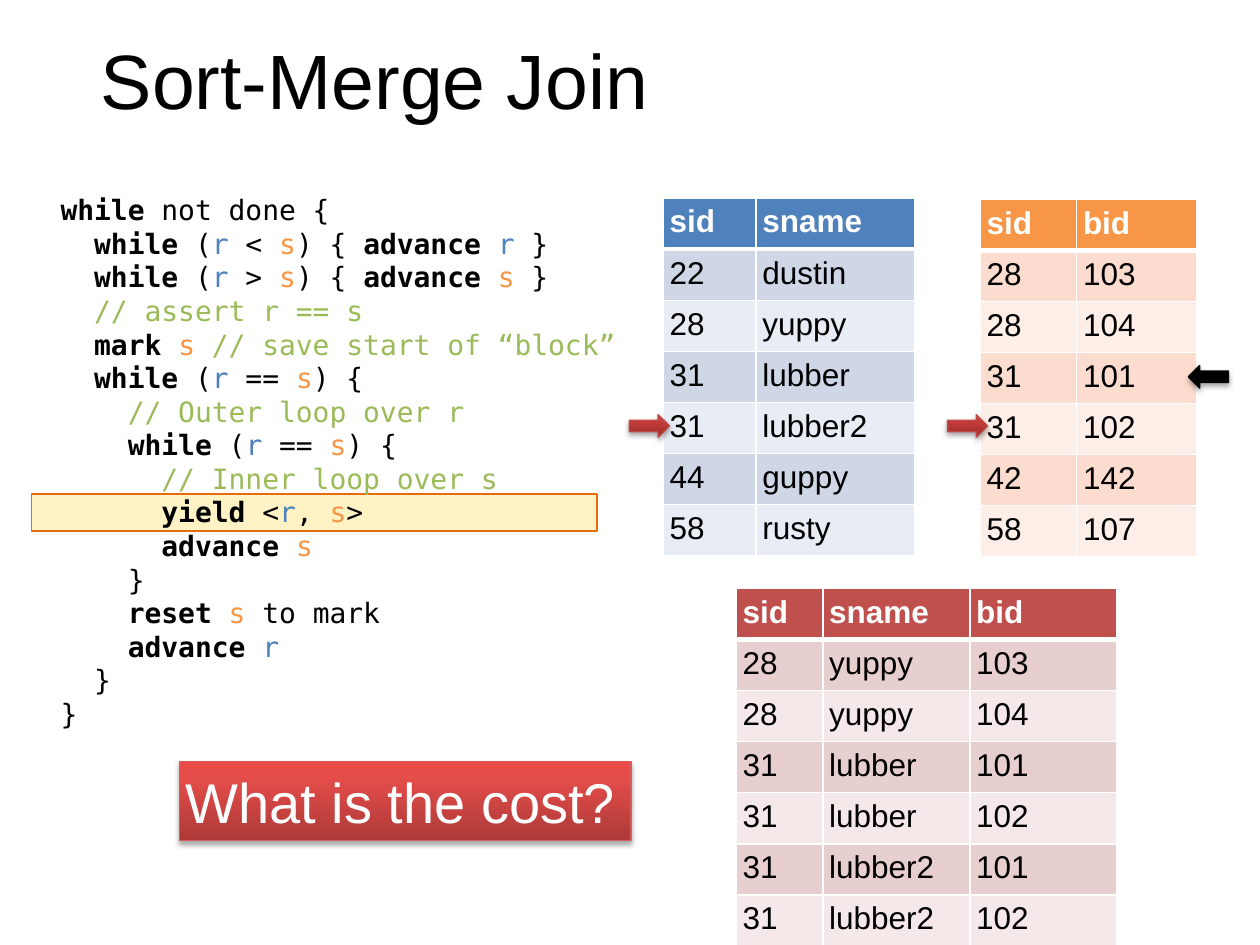
"""Build the Sort-Merge Join slide with pseudocode, two inputs and the joined result."""
import pptx
import pptx.dml.color
import pptx.enum.shapes
import pptx.enum.text
import pptx.oxml
import pptx.oxml.ns
import pptx.util
from lxml import etree

Pt = pptx.util.Pt
Shape = pptx.enum.shapes.MSO_SHAPE
Anchor = pptx.enum.text.MSO_ANCHOR
qn = pptx.oxml.ns.qn

BLACK, WHITE, BLUE, ORANGE, GREEN = "000000", "FFFFFF", "4F81BD", "F79646", "9BBB59"
SANS, MONO = "Arial", "DejaVu Sans Mono"
INSET = 3.6
ROW_HEIGHT = 29.2

TITLE = "Sort-Merge Join"
QUESTION = "What is the cost?"

KEYWORDS = {"while", "advance", "mark", "yield", "reset"}
VARIABLES = {"r": BLUE, "s": ORANGE}
CODE = [
    "while| not done {",
    "  |while| (|r| < |s|) { |advance| |r| }",
    "  |while| (|r| > |s|) { |advance| |s| }",
    "  |// assert r == s",
    "  |mark| |s| |// save start of “block”",
    "  |while| (|r| == |s|) {",
    "    |// Outer loop over r",
    "    |while| (|r| == |s|) {",
    "      |// Inner loop over s",
    "      |yield| <|r|, |s|>",
    "      |advance| |s",
    "    }",
    "    |reset| |s| to mark",
    "    |advance| |r",
    "  }",
    "}",
]

TABLES = [
    {"at": (379, 113.2), "widths": (53.1, 90.7), "fills": (BLUE, "CFD7E7", "E8ECF4"),
     "rows": [("sid", "sname"), ("22", "dustin"), ("28", "yuppy"), ("31", "lubber"),
              ("31", "lubber2"), ("44", "guppy"), ("58", "rusty")]},
    {"at": (560.2, 113.8), "widths": (55.1, 68.3), "fills": (ORANGE, "FCDCCE", "FDEEE8"),
     "rows": [("sid", "bid"), ("28", "103"), ("28", "104"), ("31", "101"),
              ("31", "102"), ("42", "142"), ("58", "107")]},
    {"at": (420.8, 336.2), "widths": (49.4, 84, 84), "fills": ("C0504D", "E8CFCF", "F4E8E8"),
     "rows": [("sid", "sname", "bid"), ("28", "yuppy", "103"), ("28", "yuppy", "104"),
              ("31", "lubber", "101"), ("31", "lubber", "102"),
              ("31", "lubber2", "101"), ("31", "lubber2", "102")]},
]

RED_ARROW = [(0, "9A2F2C"), (80, "CA3E3A"), (100, "CE3B37")]
RED_BANNER = [(0, "AD3A38"), (80, "E44D4A"), (100, "E84A48")]
ARROWS = [
    ((359.6, 236.9), 0, RED_ARROW, "BE4B48"),
    ((541.4, 236.9), 0, RED_ARROW, "BE4B48"),
    ((679, 208.8), 180, BLACK, BLACK),
]


def rgb(value):
    return pptx.dml.color.RGBColor.from_string(value)


def add_span(para, text, size, color=BLACK, bold=False, font=SANS):
    span = para.add_run()
    span.text = text
    span.font.size, span.font.name, span.font.bold = Pt(size), font, bold
    span.font.color.rgb = rgb(color)


def set_insets(target):
    for side in ("left", "top", "right", "bottom"):
        setattr(target, f"margin_{side}", Pt(INSET))


def add_child(parent, tag, **attributes):
    return etree.SubElement(parent, qn(tag), {key: str(value) for key, value in attributes.items()})


def set_gradient(shape, stops):
    shape.fill.gradient()
    shape.fill.gradient_angle = 90
    stop_list = next(shape.element.spPr.iter(qn("a:gsLst")))
    stop_list.clear()
    for position, color in stops:
        stop = add_child(stop_list, "a:gs", pos=position * 1000)
        add_child(stop, "a:srgbClr", val=color)


def add_shape(page, kind, frame, fill, line, weight, shaded=True):
    shape = page.shapes.add_shape(kind, *map(Pt, frame))
    if isinstance(fill, list):
        set_gradient(shape, fill)
    else:
        shape.fill.solid()
        shape.fill.fore_color.rgb = rgb(fill)
    shape.line.color.rgb = rgb(line)
    shape.line.width = Pt(weight)
    shape.shadow.inherit = False
    if shaded:
        effects = shape.element.spPr.find(qn("a:effectLst"))
        shadow = add_child(effects, "a:outerShdw", blurRad=Pt(3), dist=Pt(1.8),
                           dir=5400000, rotWithShape=0)
        add_child(add_child(shadow, "a:srgbClr", val=BLACK), "a:alpha", val=35000)
    return shape


def set_borders(cell, bottom):
    properties = cell._tc.get_or_add_tcPr()
    for side, weight in (("L", 1), ("R", 1), ("T", 1), ("B", bottom)):
        border = add_child(properties, f"a:ln{side}", w=Pt(weight))
        add_child(add_child(border, "a:solidFill"), "a:srgbClr", val=WHITE)


def add_table(page, at, widths, fills, rows):
    frame = page.shapes.add_table(len(rows), len(widths), *map(Pt, at),
                                  Pt(sum(widths)), Pt(ROW_HEIGHT * len(rows)))
    table = frame.table
    for column, width in zip(table.columns, widths):
        column.width = Pt(width)
    for index, row in enumerate(rows):
        table.rows[index].height = Pt(ROW_HEIGHT)
        header = index == 0
        fill = fills[0] if header else fills[2 - index % 2]
        for position, text in enumerate(row):
            cell = table.cell(index, position)
            set_insets(cell)
            set_borders(cell, 3 if header else 1)
            cell.fill.solid()
            cell.fill.fore_color.rgb = rgb(fill)
            add_span(cell.text_frame.paragraphs[0], text, 18, WHITE if header else BLACK, header)


def add_code(page):
    box = page.shapes.add_textbox(Pt(31), Pt(106.6), Pt(334.8), Pt(311))
    set_insets(box.text_frame)
    box.text_frame.word_wrap = False
    for index, line in enumerate(CODE):
        para = box.text_frame.add_paragraph() if index else box.text_frame.paragraphs[0]
        para.line_spacing = Pt(19.2)
        for piece in line.split("|"):
            color = GREEN if piece.startswith("//") else VARIABLES.get(piece, BLACK)
            add_span(para, piece, 16, color, piece in KEYWORDS, MONO)


def add_title(page):
    title = page.shapes.title
    title.left, title.top, title.width, title.height = map(Pt, (54, 0, 612, 90))
    set_insets(title.text_frame)
    title.text_frame.vertical_anchor = Anchor.MIDDLE
    para = title.text_frame.paragraphs[0]
    para.alignment = pptx.enum.text.PP_ALIGN.LEFT
    add_span(para, TITLE, 44)


def add_banner(page):
    banner = add_shape(page, Shape.RECTANGLE, (102.6, 435, 258, 45.2), RED_BANNER, "D75C5A", 0.75)
    set_insets(banner.text_frame)
    banner.text_frame.word_wrap = False
    banner.text_frame.vertical_anchor = Anchor.TOP
    para = banner.text_frame.paragraphs[0]
    para.alignment = pptx.enum.text.PP_ALIGN.LEFT
    add_span(para, QUESTION, 32, WHITE)


def main():
    deck = pptx.Presentation()
    deck.slide_width, deck.slide_height = Pt(720), Pt(540)
    page = deck.slides.add_slide(deck.slide_layouts[5])
    add_title(page)
    add_shape(page, Shape.RECTANGLE, (18, 282.2, 323.3, 21.4), "FFF2C5", "E46C0A", 1, shaded=False)
    add_code(page)
    for table in TABLES:
        add_table(page, **table)
    for at, rotation, fill, line in ARROWS:
        arrow = add_shape(page, Shape.RIGHT_ARROW, (*at, 23, 13), fill, line, 0.75)
        arrow.rotation = rotation
    add_banner(page)
    deck.save("out.pptx")


if __name__ == "__main__":
    main()
